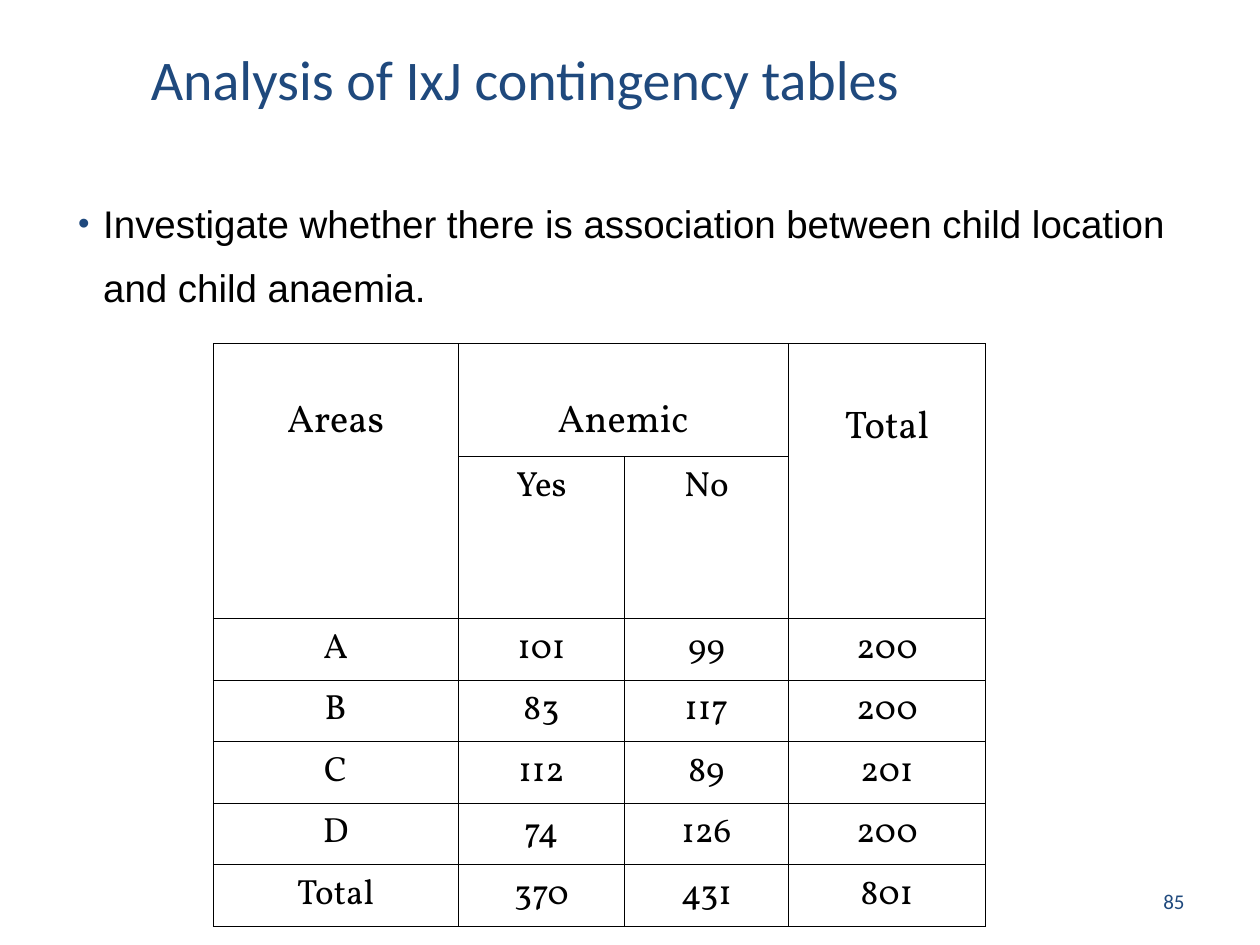
from lxml import etree
from pptx import Presentation
from pptx.dml.color import RGBColor
from pptx.enum import text
from pptx.oxml.ns import qn
from pptx.util import Pt

NAVY, BLACK = "1F497D", "000000"
LEFT, CENTER, RIGHT = text.PP_ALIGN.LEFT, text.PP_ALIGN.CENTER, text.PP_ALIGN.RIGHT
TOP, MIDDLE = text.MSO_ANCHOR.TOP, text.MSO_ANCHOR.MIDDLE

COLUMN_WIDTHS = [140, 95.2, 93.4, 113]
ROW_HEIGHTS = [64.6, 92.6] + [35.2] * 5
COUNTS = [
    ("A", 101, 99, 200),
    ("B", 83, 117, 200),
    ("C", 112, 89, 201),
    ("D", 74, 126, 200),
    ("Total", 370, 431, 801),
]


def color(value):
    return RGBColor.from_string(value)


def style(para, font, size, tint, align=LEFT):
    para.alignment = align
    para.font.name = font
    para.font.size = Pt(size)
    para.font.bold = False
    para.font.color.rgb = color(tint)


def place(shape, box):
    shape.left, shape.top, shape.width, shape.height = (Pt(v) for v in box)


def fill_frame(shape, words, anchor=TOP):
    frame = shape.text_frame
    frame.word_wrap = True
    frame.auto_size = text.MSO_AUTO_SIZE.NONE
    frame.vertical_anchor = anchor
    frame.text = words
    return frame.paragraphs[0]


def add_title(page, box):
    title = page.shapes.title
    place(title, box)
    style(fill_frame(title, "Analysis of IxJ contingency tables"), "Calibri", 32, NAVY)


def add_bullet(para, tint, percent):
    props = para._p.get_or_add_pPr()
    props.set("marL", str(Pt(14.4)))
    props.set("indent", str(-Pt(14.4)))
    tint_part = etree.SubElement(props, qn("a:buClr"))
    etree.SubElement(tint_part, qn("a:srgbClr"), val=tint)
    etree.SubElement(props, qn("a:buSzPct"), val=str(percent * 1000))
    etree.SubElement(props, qn("a:buFont"), typeface="Arial")
    etree.SubElement(props, qn("a:buChar"), char="•")


def add_question(page, box):
    question = page.shapes.add_textbox(*(Pt(v) for v in box))
    para = fill_frame(question, "Investigate whether there is association between "
                                "child location and child anaemia.")
    para.line_spacing = 1.4
    para.space_before = Pt(5.5)
    add_bullet(para, NAVY, 85)
    style(para, "Arial", 22, BLACK)


def add_borders(cell):
    props = cell._tc.get_or_add_tcPr()
    for side in ("lnL", "lnR", "lnT", "lnB"):
        line = etree.SubElement(props, qn(f"a:{side}"), w=str(Pt(0.45)))
        fill = etree.SubElement(line, qn("a:solidFill"))
        etree.SubElement(fill, qn("a:srgbClr"), val=BLACK)


def write_cell(cell, words, size=20, top=3.6):
    cell.text = str(words)
    cell.margin_left = cell.margin_right = Pt(5.4)
    cell.margin_top = Pt(top)
    style(cell.text_frame.paragraphs[0], "Vollkorn", size, BLACK, CENTER)


def add_counts_table(page, left, top):
    frame = page.shapes.add_table(
        len(ROW_HEIGHTS), len(COLUMN_WIDTHS), Pt(left), Pt(top),
        Pt(sum(COLUMN_WIDTHS)), Pt(sum(ROW_HEIGHTS)))
    table = frame.table
    table.first_row = table.horz_banding = False
    for column, width in zip(table.columns, COLUMN_WIDTHS):
        column.width = Pt(width)
    for row, height in zip(table.rows, ROW_HEIGHTS):
        row.height = Pt(height)
    for cell in table.iter_cells():
        add_borders(cell)
        cell.fill.background()

    # Two-level heading
    table.cell(0, 0).merge(table.cell(1, 0))
    table.cell(0, 1).merge(table.cell(0, 2))
    table.cell(0, 3).merge(table.cell(1, 3))
    for column, words, inset in ((0, "Areas", 30), (1, "Anemic", 30), (3, "Total", 33.6)):
        write_cell(table.cell(0, column), words, 22, inset)
    write_cell(table.cell(1, 1), "Yes")
    write_cell(table.cell(1, 2), "No")

    # Counts by area
    for row, values in enumerate(COUNTS, start=2):
        for column, value in enumerate(values):
            write_cell(table.cell(row, column), value)


def add_page_number(page, box):
    number = page.shapes.add_textbox(*(Pt(v) for v in box))
    style(fill_frame(number, "85", MIDDLE), "Calibri", 12, NAVY, RIGHT)


def main():
    deck = Presentation()
    deck.slide_width, deck.slide_height = Pt(720), Pt(540)
    page = deck.slides.add_slide(deck.slide_layouts[5])
    add_page_number(page, (516, 500.5, 168, 29))
    add_counts_table(page, 121.8, 196.3)
    add_question(page, (37.5, 100, 652, 79))
    add_title(page, (79, 21.6, 590, 50.4))
    deck.save("out.pptx")


if __name__ == "__main__":
    main()
